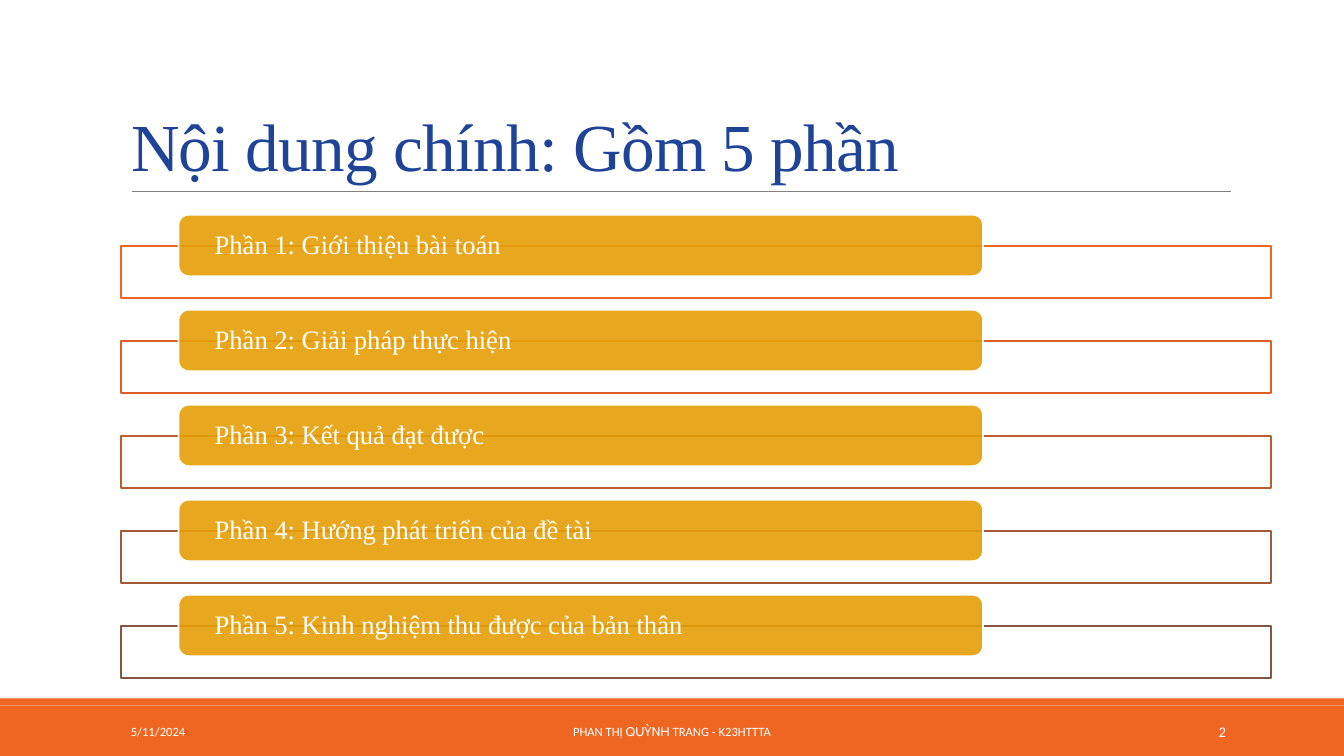
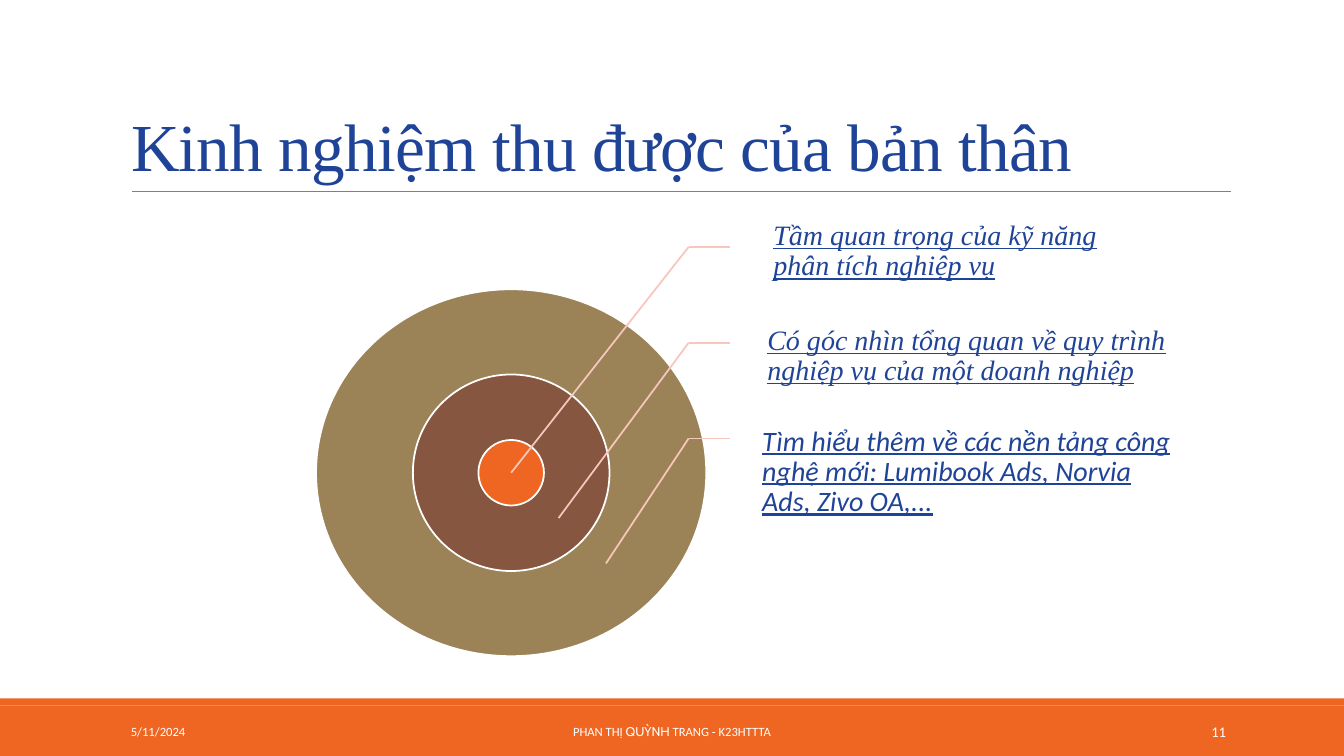
from dataclasses import dataclass

from lxml import etree
from pptx import Presentation
from pptx.dml import color
from pptx.enum import shapes, text
from pptx.oxml import ns
from pptx.util import Inches, Pt


@dataclass(frozen=True)
class Theme:
    """Colours, fonts and type sizes."""
    orange: str = "EF6622"
    amber: str = "E59E06"
    brown: str = "865640"
    khaki: str = "9B8357"
    pink: str = "F7C6BD"
    blue: str = "1F4397"
    gray: str = "808080"
    white: str = "FFFFFF"
    frames: tuple = ("EF6622", "DD5F21", "BD5C2E", "A15938", "865640")
    serif: str = "Times New Roman"
    sans: str = "Calibri"
    accent: str = "Cabin"
    title_size: float = 48
    section_size: float = 19
    label_size: float = 20
    footer_size: float = 9
    number_size: float = 10.5
    rule: float = 0.5
    outline: float = 1.25


@dataclass(frozen=True)
class Box:
    left: float
    top: float
    width: float
    height: float

    def inner(self, left, top, width, height):
        return Box(self.left + left, self.top + top, width, height)

    def lengths(self):
        return [Inches(v) for v in (self.left, self.top, self.width, self.height)]


THEME = Theme()
SHAPE = shapes.MSO_SHAPE
ALIGN = text.PP_ALIGN
WIDTH, HEIGHT = 13.33, 7.5
TITLE = Box(1.2, 0.3, 11, 1.59)
BAND = Box(0, 6.93, WIDTH, 0.57)
SECTIONS = Box(1.2, 2.13, 11.41, 4.6)
TARGET = Box(3.14, 2.02, 8.59, 4.49)


# Shared helpers
def apply(target, values):
    for name, value in values.items():
        setattr(target, name, value)


def rgb(value):
    return color.RGBColor.from_string(value)


def write(frame, spans, size, ink, align=ALIGN.LEFT, spacing=None,
          insets=(0.1, 0.05, 0.1, 0.05), anchor=text.MSO_ANCHOR.MIDDLE, **font):
    """Fill a text frame with one paragraph of (text, font name) spans."""
    left, top, right, bottom = map(Inches, insets)
    apply(frame, dict(word_wrap=True, auto_size=text.MSO_AUTO_SIZE.NONE,
                      vertical_anchor=anchor, margin_left=left, margin_top=top,
                      margin_right=right, margin_bottom=bottom))
    para = frame.paragraphs[0]
    apply(para, dict(alignment=align, line_spacing=spacing))
    for words, name in spans:
        span = para.add_run()
        span.text = words
        apply(span.font, dict(name=name, size=Pt(size), **font))
        span.font.color.rgb = rgb(ink)
    return para


def add_text(page, box, *args, **kwargs):
    return write(page.shapes.add_textbox(*box.lengths()).text_frame, *args, **kwargs)


def add_block(page, kind, box, fill=None, line=None, opacity=100):
    block = page.shapes.add_shape(kind, *box.lengths())
    block.shadow.inherit = False
    if fill:
        block.fill.solid()
        block.fill.fore_color.rgb = rgb(fill)
        if opacity < 100:
            swatch = block.element.spPr.find(ns.qn("a:solidFill"))[0]
            etree.SubElement(swatch, ns.qn("a:alpha"), val=str(opacity * 1000))
    else:
        block.fill.background()
    if line:
        block.line.color.rgb = rgb(line)
        block.line.width = Pt(THEME.outline)
    else:
        block.line.fill.background()
    return block


def add_line(page, start, end, ink, width):
    line = page.shapes.add_connector(shapes.MSO_CONNECTOR.STRAIGHT,
                                     *map(Inches, (*start, *end)))
    line.line.color.rgb = rgb(ink)
    line.line.width = Pt(width)
    etree.SubElement(line.element.spPr, ns.qn("a:effectLst"))
    return line


# Layout: title place, bottom bands and title rule
def prepare_layout(layout, page):
    left, top, width, height = TITLE.lengths()
    for holder in (layout.placeholders[0], page.shapes.title):
        apply(holder, dict(left=left, top=top, width=width, height=height))
    parts = [
        add_block(page, SHAPE.RECTANGLE, BAND.inner(0, 0.07, BAND.width, 0.5), THEME.orange),
        add_block(page, SHAPE.RECTANGLE, BAND.inner(0, 0, BAND.width, 0.07), THEME.orange),
        add_line(page, (1.31, 1.9), (12.21, 1.9), THEME.gray, THEME.rule),
    ]
    for index, part in enumerate(parts, start=2):
        layout.shapes.element.insert(index, part.element)


def add_title(page, words):
    para = write(page.shapes.title.text_frame, [(words, THEME.serif)], THEME.title_size,
                 THEME.blue, spacing=0.85, anchor=text.MSO_ANCHOR.BOTTOM)
    para.runs[0].font.element.set("spc", "-50") if hasattr(
        para.runs[0].font, "element") else para.runs[0]._r.get_or_add_rPr().set("spc", "-50")


def add_footer(page, box, number):
    author = [("PHAN THỊ ", THEME.sans), ("QUỲNH", THEME.accent),
              (" TRANG - K23HTTTA", THEME.sans)]
    for left, width, spans, size, align in (
        (1.2, 2.7, [("5/11/2024", THEME.sans)], THEME.footer_size, ALIGN.LEFT),
        (4.03, 5.27, author, THEME.footer_size, ALIGN.CENTER),
        (10.83, 1.43, [(number, THEME.sans)], THEME.number_size, ALIGN.RIGHT),
    ):
        add_text(page, box.inner(left, 0.13, width, 0.4), spans, size, THEME.white, align)


# Agenda: evenly spaced frames, each with a rounded heading
def add_sections(page, box, headings):
    frame_top, frame_height = 0.31, 0.52
    step = (box.height - frame_top - frame_height) / (len(headings) - 1)
    for index, (heading, ink) in enumerate(zip(headings, THEME.frames)):
        top = index * step
        add_block(page, SHAPE.RECTANGLE,
                  box.inner(0, top + frame_top, box.width, frame_height),
                  THEME.white, ink, 90)
        pill = add_block(page, SHAPE.ROUNDED_RECTANGLE, box.inner(0.57, top, 7.98, 0.61),
                         THEME.amber, THEME.white, 90)
        write(pill.text_frame, [(heading, THEME.serif)], THEME.section_size, THEME.white,
              spacing=0.9, insets=(0.33, 0, 0.33, 0))


# Target diagram: rings around one centre, with leaders to labels
def add_target(page, box, labels):
    centre_x, centre_y = 1.93, 2.67
    for width, height, fill in ((3.87, 3.64, THEME.khaki), (1.95, 1.95, THEME.brown),
                                (0.65, 0.65, THEME.orange)):
        ring = box.inner(centre_x - width / 2, centre_y - height / 2, width, height)
        add_block(page, SHAPE.OVAL, ring, fill, THEME.white)
    elbow_x = box.left + 3.69
    for index, (words, font, left, top, width) in enumerate(labels):
        add_text(page, box.inner(left, top, width, 0.95), [(words, font)],
                 THEME.label_size, THEME.blue, spacing=0.9,
                 insets=(0.16, 0.03, 0.03, 0.03), italic=True, underline=True)
        elbow = (elbow_x, box.top + 0.43 + 0.95 * index)
        anchor = (box.left + centre_x + 0.47 * index, box.top + centre_y + 0.45 * index)
        for end in ((elbow_x + 0.41, elbow[1]), anchor):
            add_line(page, elbow, end, THEME.pink, THEME.outline)


def main():
    deck = Presentation()
    apply(deck, dict(slide_width=Inches(WIDTH), slide_height=Inches(HEIGHT)))
    layout = deck.slide_layouts[5]

    agenda = deck.slides.add_slide(layout)
    prepare_layout(layout, agenda)
    add_title(agenda, "Nội dung chính: Gồm 5 phần")
    add_sections(agenda, SECTIONS, (
        "Phần 1: Giới thiệu bài toán",
        "Phần 2: Giải pháp thực hiện",
        "Phần 3: Kết quả đạt được",
        "Phần 4: Hướng phát triển của đề tài",
        "Phần 5: Kinh nghiệm thu được của bản thân",
    ))
    add_footer(agenda, BAND, "2")

    lessons = deck.slides.add_slide(layout)
    add_title(lessons, "Kinh nghiệm thu được của bản thân")
    add_target(lessons, TARGET, (
        ("Tầm quan trọng của kỹ năng phân tích nghiệp vụ", THEME.serif, 4.37, 0, 3.6),
        ("Có góc nhìn tổng quan về quy trình nghiệp vụ của một doanh nghiệp",
         THEME.serif, 4.31, 1.04, 4.28),
        ("Tìm hiểu thêm về các nền tảng công nghệ mới: Lumibook Ads, Norvia Ads, Zivo OA,...",
         THEME.sans, 4.26, 2.19, 4.29),
    ))
    add_footer(lessons, BAND, "11")
    deck.save("out.pptx")


if __name__ == "__main__":
    main()
